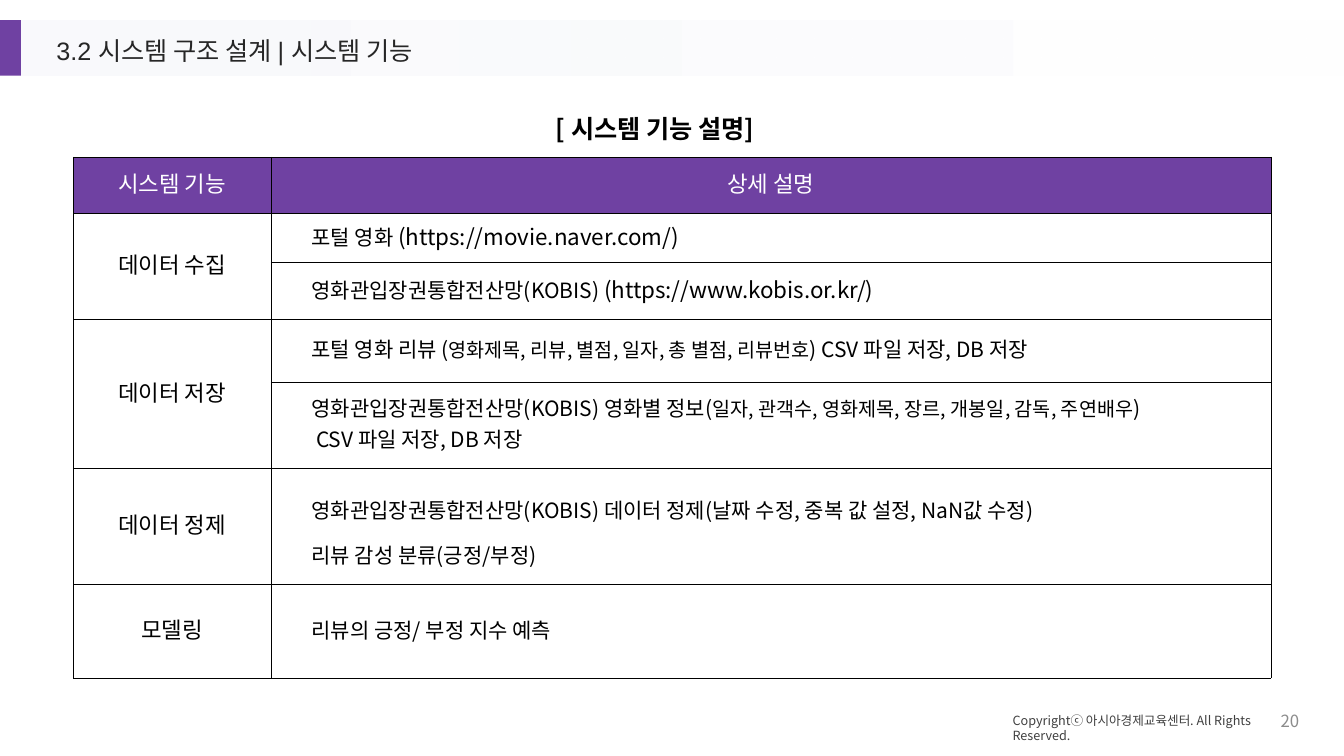
from lxml import etree
from pptx import Presentation
from pptx.dml.color import RGBColor
from pptx.enum.shapes import MSO_SHAPE
from pptx.enum.text import MSO_ANCHOR, PP_ALIGN
from pptx.oxml import parse_xml
from pptx.oxml.ns import qn
from pptx.util import Cm, Pt

RECTANGLE = MSO_SHAPE.RECTANGLE
MIDDLE, TOP = MSO_ANCHOR.MIDDLE, MSO_ANCHOR.TOP
LEFT, CENTER, RIGHT = PP_ALIGN.LEFT, PP_ALIGN.CENTER, PP_ALIGN.RIGHT

PURPLE = RGBColor(0x6F, 0x41, 0xA2)
PALE = RGBColor(0xF6, 0xF7, 0xFB)
WHITE = RGBColor(0xFF, 0xFF, 0xFF)
BLACK = RGBColor(0, 0, 0)
CHARCOAL = RGBColor(0x26, 0x26, 0x26)
DARK_GRAY = RGBColor(0x40, 0x40, 0x40)
GRAY = RGBColor(0x8C, 0x8C, 0x8C)

KOREAN_FONT = "Noto Sans CJK KR"
DRAWING_NS = "http://schemas.openxmlformats.org/drawingml/2006/main"

COLUMN_WIDTHS = [4.98, 25.2]
ROW_HEIGHTS = [1.4, 1.24, 1.45, 1.57, 2.18, 2.92, 2.36]

FUNCTIONS = [
    ("데이터 수집", [
        [[("포털 영화 ", 15), ("(https://movie.naver.com/)", 16)]],
        [[("영화관입장권통합전산망(KOBIS) ", 15), ("(https://www.kobis.or.kr/)", 16)]],
    ]),
    ("데이터 저장", [
        [[("포털 영화 리뷰 (", 15),
          ("영화제목, 리뷰, 별점, 일자, 총 별점, 리뷰번호", 14),
          (") CSV 파일 저장, DB 저장", 15)]],
        [[("영화관입장권통합전산망(KOBIS) 영화별 정보(", 15),
          ("일자, 관객수, 영화제목, 장르, 개봉일, 감독, 주연배우", 14),
          (")", 15)],
         [(" CSV 파일 저장, DB 저장", 15)]],
    ]),
    ("데이터 정제", [
        [[("영화관입장권통합전산망(KOBIS) 데이터 정제(날짜 수정, 중복 값 설정, NaN값 수정)", 15)],
         [("리뷰 감성 분류(긍정/부정)", 15)]],
    ]),
    ("모델링", [
        [[("리뷰의 긍정/ 부정 지수 예측", 15)]],
    ]),
]


def write(frame, text, size=16, color=BLACK, font=KOREAN_FONT, bold=False,
          align=LEFT, spacing=None, indent=0):
    paragraphs = [[(text, size)]] if isinstance(text, str) else text
    for index, pieces in enumerate(paragraphs):
        paragraph = frame.add_paragraph() if index else frame.paragraphs[0]
        paragraph.alignment = align
        if spacing:
            paragraph.line_spacing = spacing
        if indent:
            properties = paragraph._p.get_or_add_pPr()
            properties.set("marL", str(Cm(indent)))
            properties.set("indent", "0")
        for words, points in pieces:
            run = paragraph.add_run()
            run.text = words
            run.font.size = Pt(points)
            run.font.bold = bold
            run.font.color.rgb = color
            run.font.name = font
            east_asian = etree.SubElement(run._r.get_or_add_rPr(), qn("a:ea"))
            east_asian.set("typeface", KOREAN_FONT)


class FunctionSlide:
    def __init__(self, presentation):
        self.slide = presentation.slides.add_slide(presentation.slide_layouts[6])

    def bar(self, left, top, width, height):
        shape = self.slide.shapes.add_shape(
            RECTANGLE, Cm(left), Cm(top), Cm(width), Cm(height))
        shape.shadow.inherit = False
        shape.line.fill.background()
        return shape

    def solid_bar(self, *place, color):
        fill = self.bar(*place).fill
        fill.solid()
        fill.fore_color.rgb = color

    def fading_bar(self, *place, start, end, opacity):
        fill = self.bar(*place).fill
        fill.gradient()
        fill.gradient_angle = 0
        for stop, color in zip(fill.gradient_stops, (start, end)):
            stop.color.rgb = color
        first_color = fill.gradient_stops[0]._gs.find(qn("a:srgbClr"))
        etree.SubElement(first_color, qn("a:alpha")).set("val", str(opacity * 1000))

    def label(self, left, top, width, height, text, anchor=TOP, wrap=True, **style):
        box = self.slide.shapes.add_textbox(Cm(left), Cm(top), Cm(width), Cm(height))
        frame = box.text_frame
        frame.word_wrap = wrap
        frame.vertical_anchor = anchor
        write(frame, text, **style)

    def grid(self, left, top, widths, heights):
        table = self.slide.shapes.add_table(
            len(heights), len(widths), Cm(left), Cm(top),
            Cm(sum(widths)), Cm(sum(heights))).table
        table.first_row = False
        table.horz_banding = False
        for column, width in zip(table.columns, widths):
            column.width = Cm(width)
        for row, height in zip(table.rows, heights):
            row.height = Cm(height)
        for cell in table.iter_cells():
            self.border(cell)
            cell.fill.background()
            cell.vertical_anchor = MIDDLE
            cell.margin_left = cell.margin_right = cell.margin_top = Cm(0.03)
            cell.margin_bottom = Cm(0.13)
        return table

    def border(self, cell):
        properties = cell._tc.get_or_add_tcPr()
        for side in ("lnL", "lnR", "lnT", "lnB"):
            properties.append(parse_xml(
                f'<a:{side} xmlns:a="{DRAWING_NS}" w="{Pt(0.25)}"><a:solidFill>'
                f'<a:srgbClr val="{BLACK}"/></a:solidFill></a:{side}>'))

    def function_table(self, left, top):
        table = self.grid(left, top, COLUMN_WIDTHS, ROW_HEIGHTS)
        for column, heading in enumerate(("시스템 기능", "상세 설명")):
            cell = table.cell(0, column)
            cell.fill.solid()
            cell.fill.fore_color.rgb = PURPLE
            write(cell.text_frame, heading, color=WHITE, align=CENTER)
        row = 1
        for name, details in FUNCTIONS:
            name_cell = table.cell(row, 0)
            if len(details) > 1:
                name_cell.merge(table.cell(row + len(details) - 1, 0))
            write(name_cell.text_frame, name, align=CENTER)
            for detail in details:
                write(table.cell(row, 1).text_frame, detail, indent=0.99,
                      spacing=1.5 if name == "데이터 정제" else None)
                row += 1


def main():
    presentation = Presentation()
    presentation.slide_width = Cm(33.87)
    presentation.slide_height = Cm(19.05)
    page = FunctionSlide(presentation)
    page.fading_bar(0.53, 0.51, 33.33, 1.4, start=PALE, end=WHITE, opacity=58)
    page.solid_bar(0, 0.51, 0.53, 1.4, color=PURPLE)
    page.label(31.42, 17.65, 1.57, 1.02, "20", anchor=MIDDLE,
               size=12, color=GRAY, align=RIGHT)
    page.label(13.54, 2.72, 5.94, 1.02, "[ 시스템 기능 설명]", wrap=False,
               size=18, bold=True, align=CENTER)
    page.label(25.27, 17.83, 7.77, 0.64,
               "Copyrightⓒ 아시아경제교육센터. All Rights Reserved.",
               size=9, color=DARK_GRAY)
    page.label(1.17, 0.84, 12.55, 0.99, "3.2 시스템 구조 설계 | 시스템 기능",
               size=18, color=CHARCOAL, font="Arial", spacing=0.9)
    page.function_table(1.85, 3.96)
    presentation.save("out.pptx")


if __name__ == "__main__":
    main()
